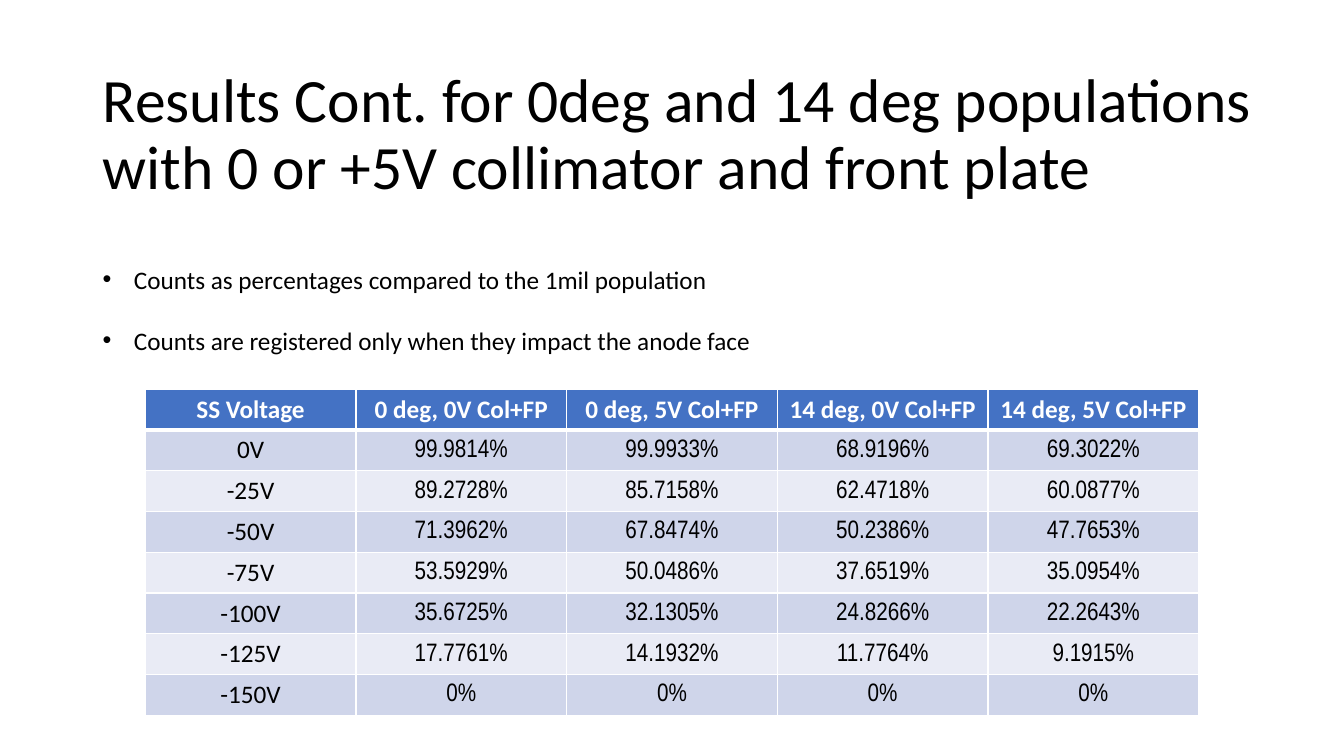
from dataclasses import dataclass

from lxml.etree import SubElement
from pptx import Presentation
from pptx.dml.color import RGBColor
from pptx.enum.text import MSO_ANCHOR, PP_ALIGN
from pptx.oxml.ns import qn
from pptx.util import Inches, Pt

BLACK, WHITE = "000000", "FFFFFF"
HEADER_FILL, ODD_FILL, EVEN_FILL = "4472C4", "CFD5EA", "E9EBF5"
ROW_HEIGHT, COL_WIDTH = 0.405, 2.09

HEADERS = ["SS Voltage", "0 deg, 0V Col+FP", "0 deg, 5V Col+FP",
           "14 deg, 0V Col+FP", "14 deg, 5V Col+FP"]
RESULTS = [
    ["0V", "99.9814%", "99.9933%", "68.9196%", "69.3022%"],
    ["-25V", "89.2728%", "85.7158%", "62.4718%", "60.0877%"],
    ["-50V", "71.3962%", "67.8474%", "50.2386%", "47.7653%"],
    ["-75V", "53.5929%", "50.0486%", "37.6519%", "35.0954%"],
    ["-100V", "35.6725%", "32.1305%", "24.8266%", "22.2643%"],
    ["-125V", "17.7761%", "14.1932%", "11.7764%", "9.1915%"],
    ["-150V", "0%", "0%", "0%", "0%"],
]


@dataclass
class TextBlock:
    left: float
    top: float
    width: float
    height: float
    lines: list[str]
    size: int
    anchor: MSO_ANCHOR = MSO_ANCHOR.TOP
    line_spacing: float = 1.0
    gap: int = 0
    bulleted: bool = False


@dataclass
class CellStyle:
    fill: str
    color: str = BLACK
    font: str = "Calibri"
    bold: bool = False
    tight: bool = False


BLOCKS = [
    TextBlock(0.92, 0.4, 11.67, 1.9,
              ["Results Cont. for 0deg and 14 deg populations "
               "with 0 or +5V collimator and front plate"],
              44, anchor=MSO_ANCHOR.MIDDLE, line_spacing=0.9),
    TextBlock(0.92, 2.57, 6.89, 1.01,
              ["Counts as percentages compared to the 1mil population",
               "Counts are registered only when they impact the anode face"],
              18, gap=22, bulleted=True),
]


def rgb(value: str) -> RGBColor:
    return RGBColor.from_string(value)


def add_run(p, text: str, size: int, color: str, font: str = "Calibri", bold: bool = False) -> None:
    r = p.add_run()
    r.text = text
    for name, value in {"size": Pt(size), "name": font, "bold": bold}.items():
        setattr(r.font, name, value)
    r.font.color.rgb = rgb(color)


def add_bullet(p) -> None:
    pPr = p._p.get_or_add_pPr()
    pPr.set("marL", str(Inches(0.31)))
    pPr.set("indent", str(Inches(-0.31)))
    SubElement(pPr, qn("a:buFont"), typeface="Arial")
    SubElement(pPr, qn("a:buChar"), char="•")


def add_text(s, block: TextBlock) -> None:
    box = s.shapes.add_textbox(Inches(block.left), Inches(block.top),
                               Inches(block.width), Inches(block.height))
    tf = box.text_frame
    tf.word_wrap = True
    tf.vertical_anchor = block.anchor
    for i, line in enumerate(block.lines):
        p = tf.add_paragraph() if i else tf.paragraphs[0]
        p.line_spacing = block.line_spacing
        p.space_before = Pt(block.gap if i else 0)
        if block.bulleted:
            add_bullet(p)
        add_run(p, line, block.size, BLACK)


def set_borders(cell, widths: dict[str, int]) -> None:
    tcPr = cell._tc.get_or_add_tcPr()
    for side, width in widths.items():
        ln = SubElement(tcPr, qn(f"a:ln{side}"), w=str(Pt(width)))
        fill = SubElement(ln, qn("a:solidFill"))
        SubElement(fill, qn("a:srgbClr"), val=WHITE)


def cell_style(row: int, col: int) -> CellStyle:
    if row == 0:
        return CellStyle(HEADER_FILL, WHITE, bold=True)
    fill = ODD_FILL if row % 2 else EVEN_FILL
    if col == 0:
        return CellStyle(fill)
    return CellStyle(fill, font="Arial Narrow", tight=True)


def fill_cell(cell, text: str, row: int, col: int) -> None:
    style = cell_style(row, col)
    # A heavier rule separates the header from the results
    set_borders(cell, {"L": 1, "R": 1, "T": 3 if row == 1 else 1, "B": 3 if row == 0 else 1})
    cell.fill.solid()
    cell.fill.fore_color.rgb = rgb(style.fill)
    if style.tight:
        tight = {"margin_left": Inches(0.01), "margin_right": Inches(0.01),
                 "margin_top": Inches(0.01), "margin_bottom": 0,
                 "vertical_anchor": MSO_ANCHOR.MIDDLE}
        for name, value in tight.items():
            setattr(cell, name, value)
    p = cell.text_frame.paragraphs[0]
    p.alignment = PP_ALIGN.CENTER
    add_run(p, text, 18, style.color, style.font, style.bold)


def add_results_table(s) -> None:
    rows = [HEADERS, *RESULTS]
    table = s.shapes.add_table(len(rows), len(HEADERS), Inches(1.44), Inches(3.86),
                               Inches(COL_WIDTH * len(HEADERS)),
                               Inches(ROW_HEIGHT * len(rows))).table
    for column in table.columns:
        column.width = Inches(COL_WIDTH)
    for i, values in enumerate(rows):
        table.rows[i].height = Inches(ROW_HEIGHT)
        for j, text in enumerate(values):
            fill_cell(table.cell(i, j), text, i, j)


def main() -> None:
    prs = Presentation()
    prs.slide_width, prs.slide_height = Inches(13.33), Inches(7.5)
    s = prs.slides.add_slide(prs.slide_layouts[6])
    # Title and bullets
    for block in BLOCKS:
        add_text(s, block)
    # Percentages by voltage
    add_results_table(s)
    prs.save("out.pptx")


if __name__ == "__main__":
    main()
